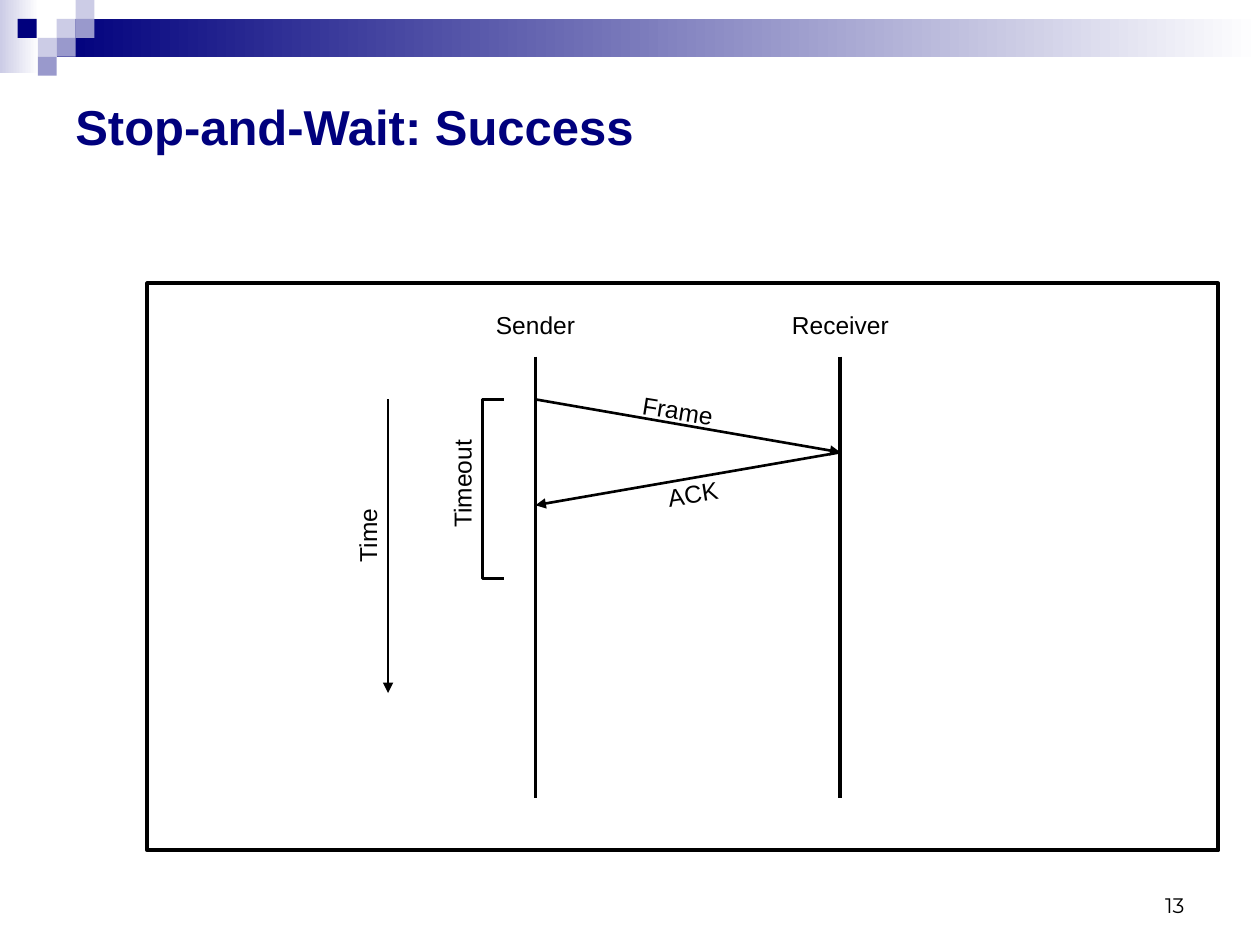
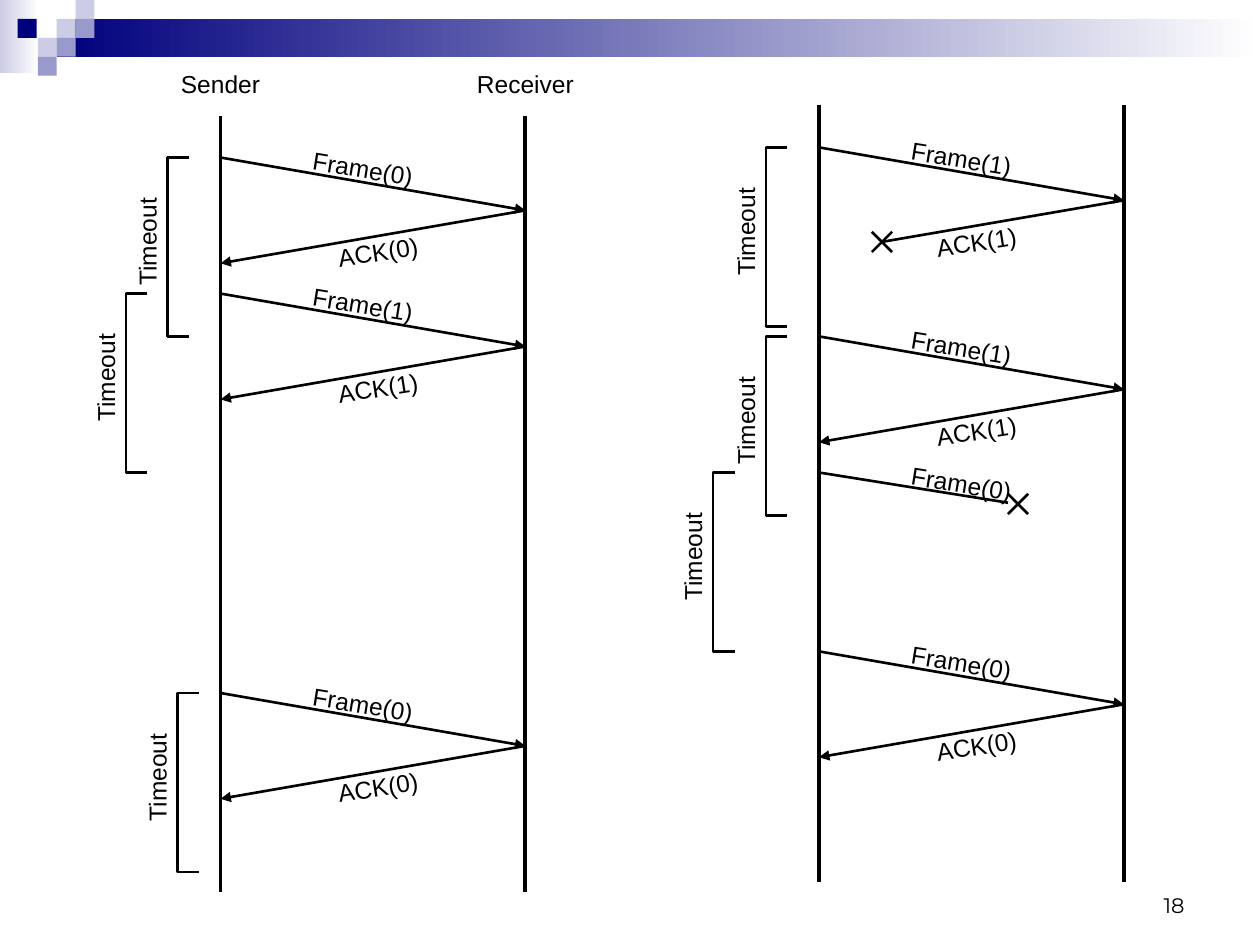
"""Build two slides of stop-and-wait protocol timing diagrams."""
from lxml import etree
from pptx import Presentation
from pptx import util as u
from pptx.dml.color import RGBColor
from pptx.enum import shapes, text
from pptx.oxml.ns import qn

COLORS = {"navy": "00007D", "mid": "9999CC", "pale": "CCCCE6", "white": "FFFFFF", "black": "000000"}
FONT, NUMBER_FONT = "Arial", "Montserrat"
THICK, THIN = 2.25, 1.5
SPAN = 2.42
DROP = 0.42
TILE = 0.15
TILES = [(0.45, 0.15, "pale"), (0.6, 0, "pale"), (0.6, 0.15, "mid"), (0.3, 0.3, "pale"),
         (0.14, 0.15, "navy"), (0.45, 0.3, "mid"), (0.3, 0.45, "mid")]


def rgb(name):
    """Return the named colour."""
    return RGBColor.from_string(COLORS[name])


def add_rect(slide, x, y, w, h, color, fade=False, border=None):
    """Add a rectangle, optionally fading to white or with a black border."""
    sp = slide.shapes.add_shape(shapes.MSO_SHAPE.RECTANGLE, *map(u.Inches, (x, y, w, h)))
    sp.shadow.inherit = False
    if fade:
        sp.fill.gradient()
        sp.fill.gradient_angle = 0
        for stop, name in zip(sp.fill.gradient_stops, (color, "white")):
            stop.color.rgb = rgb(name)
    else:
        sp.fill.solid()
        sp.fill.fore_color.rgb = rgb(color)
    if border:
        sp.line.color.rgb = rgb("black")
        sp.line.width = u.Pt(border)
    else:
        sp.line.fill.background()


def add_text(slide, x, y, w, h, content, size=14, font=FONT, color="black", bold=False,
             align=text.PP_ALIGN.CENTER, anchor=text.MSO_ANCHOR.TOP, rotation=0):
    """Add a one-paragraph text box."""
    sp = slide.shapes.add_textbox(*map(u.Inches, (x, y, w, h)))
    sp.rotation = rotation
    tf = sp.text_frame
    tf.word_wrap = True
    tf.vertical_anchor = anchor
    p = tf.paragraphs[0]
    p.text = content
    p.alignment = align
    r = p.runs[0]
    r.font.size, r.font.name, r.font.bold = u.Pt(size), font, bold
    r.font.color.rgb = rgb(color)


def add_label(slide, x, y, content, w=1.5, rotation=0):
    """Add a diagram label."""
    add_text(slide, x, y, w, 0.34, content, rotation=rotation)


def add_line(slide, x1, y1, x2, y2, width=THIN, arrow=False):
    """Add a straight black line, optionally with an arrowhead at its end."""
    cx = slide.shapes.add_connector(shapes.MSO_CONNECTOR.STRAIGHT, *map(u.Inches, (x1, y1, x2, y2)))
    cx.line.color.rgb = rgb("black")
    cx.line.width = u.Pt(width)
    if arrow:
        etree.SubElement(cx.line._get_or_add_ln(), qn("a:tailEnd"), type="triangle")
    etree.SubElement(cx._element.spPr, qn("a:effectLst"))


def add_cross(slide, x, y, half=0.08):
    """Mark a lost message with a cross centred on a point."""
    add_line(slide, x - half, y - half, x + half, y + half)
    add_line(slide, x + half, y - half, x - half, y + half)


def add_frame(slide, x, y, label, lost=False):
    """Add a frame sent from the sender's lifeline at x."""
    if lost:
        add_line(slide, x, y, x + 1.5, y + 0.24)
        add_cross(slide, x + 1.58, y + 0.25)
    else:
        add_line(slide, x, y, x + SPAN, y + DROP, arrow=True)
    add_label(slide, x + 0.42, y - 0.08, label, w=1.42, rotation=9.2)


def add_ack(slide, x, y, label, lost=False):
    """Add the acknowledgement of the frame sent at y."""
    if lost:
        add_line(slide, x + SPAN, y + DROP, x + 0.5, y + 0.75)
        add_cross(slide, x + 0.5, y + 0.75)
    else:
        add_line(slide, x + SPAN, y + DROP, x, y + 2 * DROP, arrow=True)
    add_label(slide, x + 0.5, y + 0.58, label, rotation=351.1)


def add_timeout(slide, x, y, w=0.17, h=1.42):
    """Add a timeout bracket, open to the right, with its vertical label."""
    left, top, right, bottom = map(u.Inches, (x, y, x + w, y + h))
    fb = slide.shapes.build_freeform(right, top)
    fb.add_line_segments([(left, top), (left, bottom), (right, bottom)], close=False)
    sp = fb.convert_to_shape()
    sp.shadow.inherit = False
    sp.fill.background()
    sp.line.color.rgb = rgb("black")
    sp.line.width = u.Pt(THIN)
    add_label(slide, x - 0.91, y + 0.5, "Timeout", rotation=270)


def add_lifelines(slide, x, top, bottom, named=True):
    """Add the sender and receiver lifelines."""
    for line_x, name in ((x, "Sender"), (x + SPAN, "Receiver")):
        add_line(slide, line_x, top, line_x, bottom, THICK)
        if named:
            add_label(slide, line_x - 0.75, top - 0.42, name)


def add_exchanges(slide, x, exchanges):
    """Add each exchange: send time, sequence suffix, bracket x, lost message."""
    for y, suffix, bracket_x, lost in exchanges:
        add_timeout(slide, bracket_x, y)
        add_frame(slide, x, y, "Frame" + suffix, lost == "frame")
        if lost != "frame":
            add_ack(slide, x, y, "ACK" + suffix, lost == "ack")


def add_slide(prs, number):
    """Add a blank slide with the header band and page number."""
    slide = prs.slides.add_slide(prs.slide_layouts[6])
    add_rect(slide, 0, 0, 0.31, 0.58, "pale", fade=True)
    add_rect(slide, 0.45, 0.15, 9.55, 0.3, "navy", fade=True)
    for x, y, color in TILES:
        add_rect(slide, x, y, TILE, TILE, color)
    add_text(slide, 7.17, 6.83, 2.33, 0.5, str(number), 12, NUMBER_FONT,
             align=text.PP_ALIGN.RIGHT, anchor=text.MSO_ANCHOR.BOTTOM)
    return slide


def add_title(slide, content):
    """Add the slide title."""
    add_text(slide, 0.5, 0.5, 9, 1, content, 28, color="navy", bold=True,
             align=text.PP_ALIGN.LEFT, anchor=text.MSO_ANCHOR.MIDDLE)


def build_success(prs):
    """Build the slide with one successful exchange."""
    slide = add_slide(prs, 13)
    add_title(slide, "Stop-and-Wait: Success")
    add_rect(slide, 1.17, 2.25, 8.5, 4.5, "white", border=THICK)
    add_lifelines(slide, 4.25, 2.83, 6.33)
    add_line(slide, 3.08, 3.17, 3.08, 5.5, arrow=True)
    add_label(slide, 2.17, 4.08, "Time", rotation=270)
    add_exchanges(slide, 4.25, [(3.17, "", 3.83, None)])


def build_sequence(prs):
    """Build the slide with numbered frames and lost messages."""
    slide = add_slide(prs, 18)
    add_lifelines(slide, 1.75, 0.92, 7.08)
    add_exchanges(slide, 1.75, [(1.25, "(0)", 1.33, None), (2.33, "(1)", 1, None),
                                (5.5, "(0)", 1.41, None)])
    add_lifelines(slide, 6.5, 0.83, 7, named=False)
    add_exchanges(slide, 6.5, [(1.17, "(1)", 6.08, "ack"), (2.67, "(1)", 6.08, None),
                               (3.75, "(0)", 5.66, "frame")])
    add_frame(slide, 6.5, 5.17, "Frame(0)")
    add_ack(slide, 6.5, 5.17, "ACK(0)")


def main():
    """Build and save the presentation."""
    prs = Presentation()
    prs.slide_width, prs.slide_height = u.Inches(10), u.Inches(7.5)
    build_success(prs)
    build_sequence(prs)
    prs.save("out.pptx")


if __name__ == "__main__":
    main()
